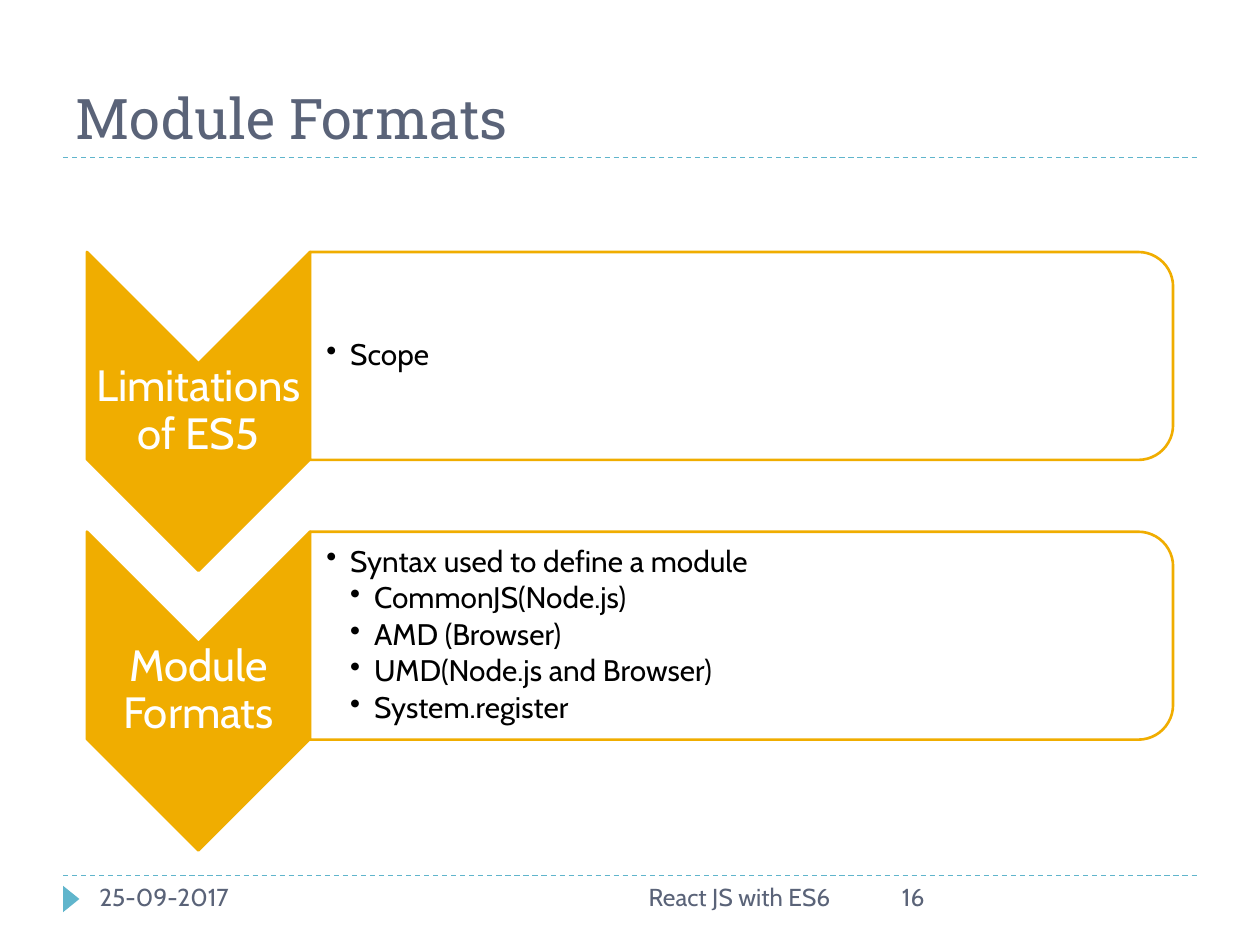
from dataclasses import dataclass

from lxml import etree
from pptx import Presentation
from pptx.dml.color import RGBColor
from pptx.enum.dml import MSO_LINE
from pptx.enum.shapes import MSO_CONNECTOR, MSO_SHAPE
from pptx.enum.text import MSO_ANCHOR, PP_ALIGN
from pptx.oxml.ns import qn
from pptx.util import Inches, Pt

TRIANGLE = MSO_SHAPE.ISOSCELES_TRIANGLE
CHEVRON = MSO_SHAPE.CHEVRON
PANEL = MSO_SHAPE.ROUND_2_SAME_RECTANGLE
STRAIGHT = MSO_CONNECTOR.STRAIGHT
DASH = MSO_LINE.DASH
TOP, MIDDLE, BOTTOM = MSO_ANCHOR.TOP, MSO_ANCHOR.MIDDLE, MSO_ANCHOR.BOTTOM
LEFT, CENTER, RIGHT = PP_ALIGN.LEFT, PP_ALIGN.CENTER, PP_ALIGN.RIGHT


@dataclass(frozen=True)
class Theme:
    heading_font: str = "Roboto Slab"
    body_font: str = "Cabin"
    slate: RGBColor = RGBColor(0x5A, 0x63, 0x78)
    teal: RGBColor = RGBColor(0x60, 0xB5, 0xCC)
    amber: RGBColor = RGBColor(0xF0, 0xAD, 0x00)
    white: RGBColor = RGBColor(0xFF, 0xFF, 0xFF)
    black: RGBColor = RGBColor(0, 0, 0)
    title_size: int = 32
    label_size: int = 25
    bullet_size: int = 17
    footer_size: int = 14


THEME = Theme()

# Each topic: chevron label, then bullets as (level, wording)
TOPICS = [
    ("Limitations of ES5", [(1, "Scope")]),
    ("Module Formats", [
        (1, "Syntax used to define a module"),
        (2, "CommonJS(Node.js)"),
        (2, "AMD (Browser)"),
        (2, "UMD(Node.js and Browser)"),
        (2, "System.register"),
    ]),
]


def apply(target, values):
    for name, value in values.items():
        setattr(target, name, value)


def write(paragraph, wording, size, color, font=THEME.body_font, **layout):
    run = paragraph.add_run()
    run.text = wording
    apply(run.font, {"name": font, "size": Pt(size)})
    run.font.color.rgb = color
    apply(paragraph, layout)


def add_frame(slide, box, anchor, margins=(0.1, 0.05, 0.1, 0.05)):
    frame = slide.shapes.add_textbox(*map(Inches, box)).text_frame
    left, top, right, bottom = map(Inches, margins)
    apply(frame, {
        "word_wrap": True, "vertical_anchor": anchor,
        "margin_left": left, "margin_top": top,
        "margin_right": right, "margin_bottom": bottom,
    })
    return frame


def add_turned(slide, preset, box, fill, outline=None):
    """Place a preset turned 90 degrees so that it shows in the given box."""
    left, top, width, height = box
    shift = (width - height) / 2
    shape = slide.shapes.add_shape(
        preset, *map(Inches, (left + shift, top - shift, height, width)))
    shape.rotation = 90
    shape.shadow.inherit = False
    shape.fill.solid()
    shape.fill.fore_color.rgb = fill
    if outline is None:
        shape.line.fill.background()
    else:
        shape.line.color.rgb = outline
        shape.line.width = Pt(1.5)
    return shape


def set_opacity(shape, percent):
    color = shape.fill._xPr.find(f"{qn('a:solidFill')}/{qn('a:srgbClr')}")
    etree.SubElement(color, qn("a:alpha"), val=str(percent * 1000))


def set_bullet(paragraph, level):
    indent = Inches(0.19)
    properties = paragraph._p.get_or_add_pPr()
    properties.set("marL", str(indent * level))
    properties.set("indent", str(-indent))
    etree.SubElement(properties, qn("a:buChar"), char="•")


def add_rule(slide, left, top, width):
    rule = slide.shapes.add_connector(
        STRAIGHT, *map(Inches, (left, top, left + width, top)))
    rule.line.color.rgb = THEME.teal
    apply(rule.line, {"width": Pt(0.75), "dash_style": DASH})
    etree.SubElement(rule._element.spPr, qn("a:effectLst"))


def add_title(slide, box):
    left, top, width, height = box
    title = slide.shapes.title
    apply(title, dict(zip(("left", "top", "width", "height"), map(Inches, box))))
    apply(title.text_frame, {"vertical_anchor": BOTTOM, "word_wrap": True})
    write(title.text_frame.paragraphs[0], "Module Formats", THEME.title_size,
          THEME.slate, THEME.heading_font, alignment=LEFT)
    add_rule(slide, left, top + height, width)


def add_footer(slide, box):
    left, top, width, height = box
    add_rule(slide, left, top, width)
    add_turned(slide, TRIANGLE, (left, top + 0.08, 0.13, 0.21), THEME.teal)
    entries = [
        ("25-09-2017", 0.19, 2.25, LEFT),
        ("React JS with ES6", 2.81, 3.38, RIGHT),
        ("16", 6.56, 2.25, LEFT),
    ]
    for wording, offset, entry_width, alignment in entries:
        frame = add_frame(slide, (left + offset, top, entry_width, height), TOP)
        write(frame.paragraphs[0], wording, THEME.footer_size, THEME.slate,
              alignment=alignment)


def add_topic(slide, box, label, bullets):
    left, top, width, height = box
    chevron_width, panel_height, inset = 1.77, 1.65, 0.08
    notch = chevron_width / 2
    panel_left, panel_width = left + chevron_width, width - chevron_width

    # Chevron and its label, between notch and point
    add_turned(slide, CHEVRON, (left, top, chevron_width, height),
               THEME.amber, THEME.amber)
    frame = add_frame(
        slide, (left, top + notch, chevron_width, height - 2 * notch),
        MIDDLE, (0.02,) * 4)
    write(frame.paragraphs[0], label, THEME.label_size, THEME.white,
          alignment=CENTER, line_spacing=0.9)

    # Panel and its bullets
    panel = add_turned(slide, PANEL, (panel_left, top, panel_width, panel_height),
                       THEME.white, THEME.amber)
    set_opacity(panel, 90)
    frame = add_frame(
        slide,
        (panel_left, top + inset, panel_width - inset, panel_height - 2 * inset),
        MIDDLE, (0.13, 0.01, 0.01, 0.01))
    for index, (level, wording) in enumerate(bullets):
        paragraph = frame.add_paragraph() if index else frame.paragraphs[0]
        write(paragraph, wording, THEME.bullet_size, THEME.black,
              line_spacing=0.9, space_after=Pt(2.5))
        set_bullet(paragraph, level)


def main():
    deck = Presentation()
    apply(deck, {"slide_width": Inches(10), "slide_height": Inches(7.5)})
    slide = deck.slides.add_slide(deck.slide_layouts.get_by_name("Title Only"))
    add_title(slide, (0.5, 0.17, 9, 1.08))
    for row, (label, bullets) in enumerate(TOPICS):
        add_topic(slide, (0.69, 2 + 2.22 * row, 8.62, 2.53), label, bullets)
    add_footer(slide, (0.5, 6.95, 9, 0.4))
    deck.save("out.pptx")


if __name__ == "__main__":
    main()
